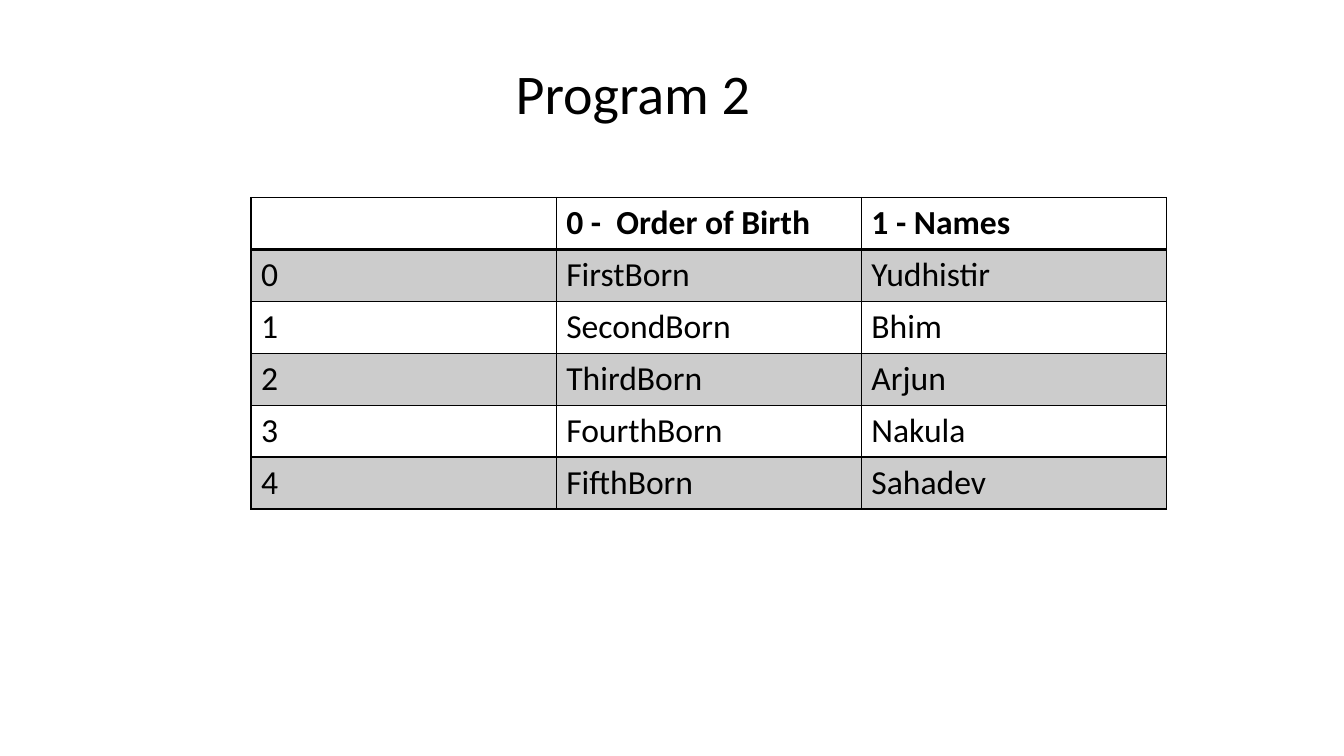
import dataclasses

import lxml.etree
import pptx
import pptx.dml.color
import pptx.enum.text
import pptx.oxml.ns
import pptx.util


@dataclasses.dataclass(frozen=True)
class Theme:
    font: str = "Calibri"
    ink: str = "000000"
    band_alpha: int = 20
    title_size: int = 40
    table_size: int = 24
    thin_line: int = 1
    header_line: int = 2


class SlideBuilder:
    """Adds styled elements to a slide, placed by shares of its size."""

    def __init__(self, presentation, theme):
        self.presentation = presentation
        self.theme = theme
        self.slide = presentation.slides.add_slide(presentation.slide_layouts[6])
        self.ink = pptx.dml.color.RGBColor.from_string(theme.ink)

    def place(self, left, top, width, height):
        slide_width = self.presentation.slide_width
        slide_height = self.presentation.slide_height
        return (int(left * slide_width), int(top * slide_height),
                int(width * slide_width), int(height * slide_height))

    def style_text(self, paragraph, text, size, alignment, bold=False):
        paragraph.text = text
        paragraph.alignment = alignment
        paragraph.font.name = self.theme.font
        paragraph.font.size = pptx.util.Pt(size)
        paragraph.font.bold = bold
        paragraph.font.color.rgb = self.ink

    def title(self, text, *box):
        frame = self.slide.shapes.add_textbox(*self.place(*box)).text_frame
        frame.word_wrap = True
        self.style_text(frame.paragraphs[0], text, self.theme.title_size,
                        pptx.enum.text.PP_ALIGN.CENTER)

    def border(self, cell, side, points):
        qn = pptx.oxml.ns.qn
        properties = cell._tc.get_or_add_tcPr()
        line = lxml.etree.SubElement(properties, qn(f"a:ln{side}"),
                                     w=str(pptx.util.Pt(points)))
        fill = lxml.etree.SubElement(line, qn("a:solidFill"))
        lxml.etree.SubElement(fill, qn("a:srgbClr"), val=self.theme.ink)

    def band(self, cell):
        cell.fill.solid()
        cell.fill.fore_color.rgb = self.ink
        qn = pptx.oxml.ns.qn
        color = cell._tc.tcPr.find(f"{qn('a:solidFill')}/{qn('a:srgbClr')}")
        lxml.etree.SubElement(color, qn("a:alpha"),
                              val=str(self.theme.band_alpha * 1000))

    def table(self, rows, *box):
        shape = self.slide.shapes.add_table(len(rows), len(rows[0]),
                                            *self.place(*box))
        for row_index, row in enumerate(rows):
            for column_index, text in enumerate(row):
                cell = shape.table.cell(row_index, column_index)
                self.style_text(cell.text_frame.paragraphs[0], text,
                                self.theme.table_size,
                                pptx.enum.text.PP_ALIGN.JUSTIFY, row_index == 0)
                for side in "LRTB":
                    under_header = (row_index, side) in ((0, "B"), (1, "T"))
                    self.border(cell, side, self.theme.header_line
                                if under_header else self.theme.thin_line)
                if row_index % 2:
                    self.band(cell)
                else:
                    cell.fill.background()


def main():
    presentation = pptx.Presentation()
    presentation.slide_width = pptx.util.Inches(13.33)
    presentation.slide_height = pptx.util.Inches(7.5)
    builder = SlideBuilder(presentation, Theme())

    births = [
        ("FirstBorn", "Yudhistir"),
        ("SecondBorn", "Bhim"),
        ("ThirdBorn", "Arjun"),
        ("FourthBorn", "Nakula"),
        ("FifthBorn", "Sahadev"),
    ]
    header = ("", "0 -  Order of Birth", "1 - Names")
    rows = [header] + [(str(index), *birth) for index, birth in enumerate(births)]
    builder.table(rows, 2.49 / 13.33, 1.96 / 7.5, 9.08 / 13.33, 3.09 / 7.5)
    builder.title("Program 2 ", 3.81 / 13.33, 0.53 / 7.5, 5.06 / 13.33, 0.77 / 7.5)
    presentation.save("out.pptx")


if __name__ == "__main__":
    main()
